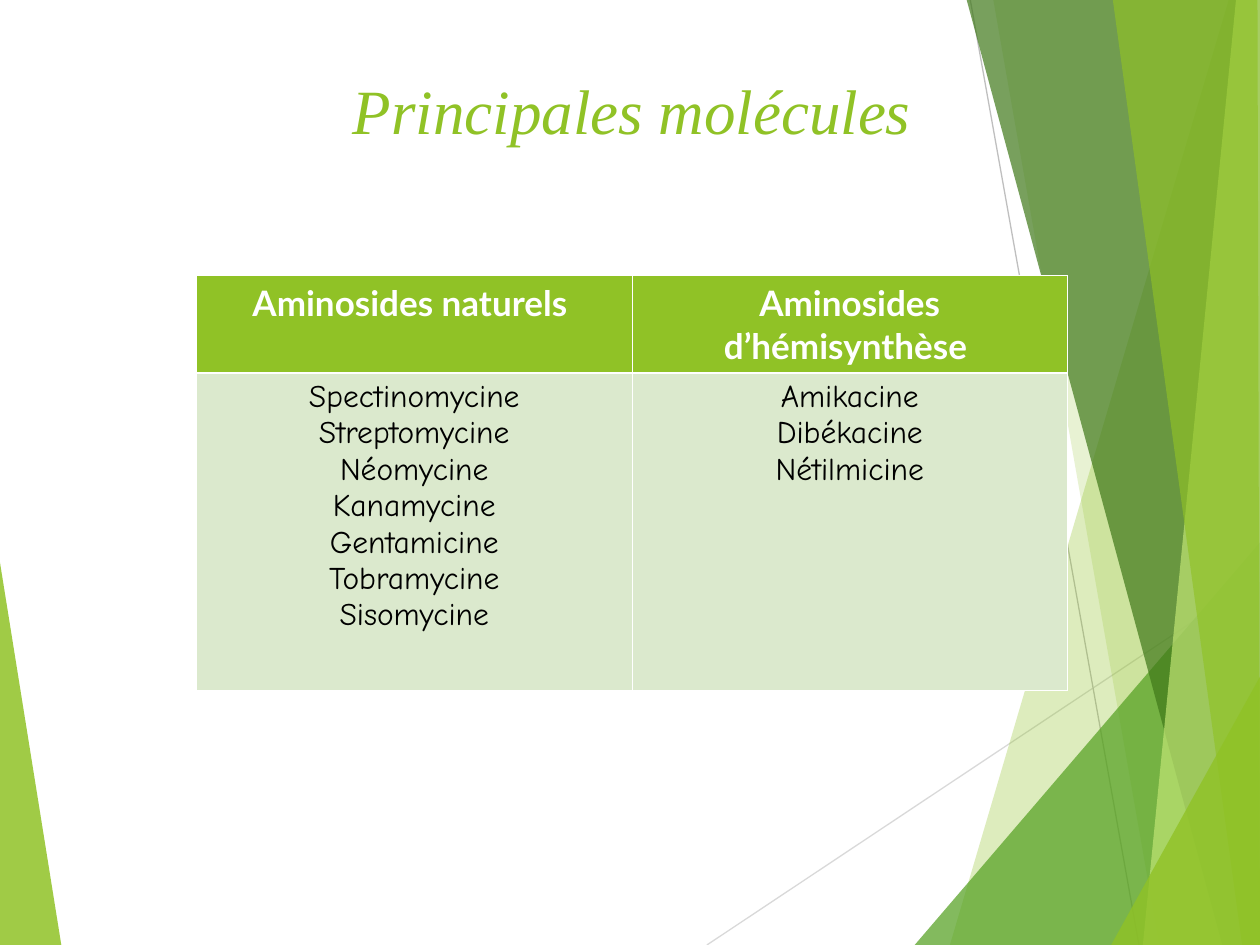
from typing import NamedTuple

from lxml.etree import SubElement
from pptx import Presentation
from pptx.dml.color import RGBColor
from pptx.enum.shapes import MSO_CONNECTOR
from pptx.enum.text import MSO_ANCHOR, PP_ALIGN
from pptx.oxml import parse_xml
from pptx.oxml.ns import nsdecls, qn
from pptx.util import Cm, Pt

LIME = RGBColor(0x90, 0xC2, 0x26)
GREEN = RGBColor(0x54, 0xA0, 0x21)
DARK = RGBColor(0x3F, 0x78, 0x19)
LIGHT = RGBColor(0xC0, 0xE4, 0x74)
PALE = RGBColor(0xDB, 0xE9, 0xCD)
GREY = RGBColor(0xBF, 0xBF, 0xBF)
SILVER = RGBColor(0xD9, 0xD9, 0xD9)
WHITE = RGBColor(0xFF, 0xFF, 0xFF)
BLACK = RGBColor(0, 0, 0)

WIDE, HIGH = 25.4, 19.05
EDGE, TOP = 25.43, -0.03


class Facet(NamedTuple):
    color: RGBColor
    alpha: int  # opacity in percent
    points: list[tuple[float, float]]


class Ray(NamedTuple):
    color: RGBColor
    start: tuple[float, float]
    end: tuple[float, float]


class Column(NamedTuple):
    head: str
    names: list[str]


TIP = Facet(LIME, 85, [(-0.03, 11.15), (1.24, 19.07), (-0.03, HIGH)])
RAYS = [
    Ray(SILVER, (14.25, HIGH), (EDGE, 11.61)),
    Ray(GREY, (19.56, 0), (22.96, HIGH)),
]
FACETS = [
    Facet(LIME, 30, [(24.77, 0), (19.15, HIGH), (EDGE, HIGH), (EDGE, 0)]),
    Facet(LIME, 20, [(20.02, TOP), (23.37, HIGH), (EDGE, HIGH), (EDGE, TOP)]),
    Facet(GREEN, 72, [(18.44, HIGH), (EDGE, 10.9), (EDGE, HIGH)]),
    Facet(DARK, 70, [(19.48, TOP), (24.64, HIGH), (EDGE, HIGH), (EDGE, TOP)]),
    Facet(LIGHT, 70, [(24.92, TOP), (23.04, HIGH), (EDGE, HIGH), (WIDE, TOP)]),
    Facet(LIME, 65, [(22.43, TOP), (25.04, HIGH), (WIDE, HIGH), (25.35, TOP)]),
    Facet(LIME, 80, [(22.4, HIGH), (EDGE, 13.59), (EDGE, HIGH)]),
]
COLUMNS = [
    Column("Aminosides naturels ", [
        "Spectinomycine", "Streptomycine", "Néomycine", "Kanamycine",
        "Gentamicine", "Tobramycine", "Sisomycine"]),
    Column("Aminosides d’hémisynthèse ", [
        "Amikacine", "Dibékacine", "Nétilmicine"]),
]


def draw_facet(shapes, facet: Facet) -> None:
    first, *rest = [(Cm(x), Cm(y)) for x, y in facet.points]
    pen = shapes.build_freeform(*first)
    pen.add_line_segments(rest, close=True)
    shape = pen.convert_to_shape()
    shape.shadow.inherit = False
    shape.line.fill.background()
    shape.fill.solid()
    shape.fill.fore_color.rgb = facet.color
    color = shape.element.spPr.find(qn("a:solidFill"))[0]
    SubElement(color, qn("a:alpha"), val=str(facet.alpha * 1000))


def draw_ray(shapes, ray: Ray) -> None:
    ends = [Cm(n) for n in (*ray.start, *ray.end)]
    line = shapes.add_connector(MSO_CONNECTOR.STRAIGHT, *ends)
    line.line.color.rgb = ray.color
    line.line.width = Pt(0.75)
    SubElement(line.element.spPr, qn("a:effectLst"))


def write(frame, lines: list[str], *, font: str, size: float, color: RGBColor,
          bold: bool = False, italic: bool = False) -> None:
    """Fill a text frame with one centred paragraph per line."""
    frame.word_wrap = True
    for i, text in enumerate(lines):
        para = frame.paragraphs[0] if i == 0 else frame.add_paragraph()
        para.alignment = PP_ALIGN.CENTER
        run = para.add_run()
        run.text = text
        run.font.name = font
        run.font.size = Pt(size)
        run.font.color.rgb = color
        run.font.bold = bold
        run.font.italic = italic


def style_cell(cell, fill: RGBColor, thick: str) -> None:
    """Set the fill and white borders; the side named by thick is heavier."""
    cell.fill.solid()
    cell.fill.fore_color.rgb = fill
    props = cell._tc.get_or_add_tcPr()
    for i, side in enumerate("LRTB"):
        width = Pt(1.47 if side == thick else 0.45)
        props.insert(i, parse_xml(
            f'<a:ln{side} {nsdecls("a")} w="{width}"><a:solidFill>'
            f'<a:srgbClr val="{WHITE}"/></a:solidFill></a:ln{side}>'))


def draw_table(shapes, columns: list[Column]) -> None:
    table = shapes.add_table(2, len(columns), Cm(3.96), Cm(5.56),
                             Cm(17.56), Cm(8.34)).table
    table.rows[0].height = Cm(1.95)
    table.rows[1].height = Cm(6.39)
    for i, col in enumerate(columns):
        head, body = table.cell(0, i), table.cell(1, i)
        style_cell(head, LIME, "B")
        style_cell(body, PALE, "T")
        write(head.text_frame, [col.head], font="Lato", size=20,
              color=WHITE, bold=True)
        write(body.text_frame, col.names, font="Comic Neue", size=18,
              color=BLACK)


def main() -> None:
    deck = Presentation()
    deck.slide_width, deck.slide_height = Cm(WIDE), Cm(HIGH)
    slide = deck.slides.add_slide(deck.slide_layouts[5])
    shapes = slide.shapes

    draw_facet(shapes, TIP)
    for ray in RAYS:
        draw_ray(shapes, ray)
    for facet in FACETS:
        draw_facet(shapes, facet)

    title = shapes.title
    shapes.element.append(title.element)  # bring in front of the facets
    title.left, title.top = Cm(1.4), Cm(1.2)
    title.width, title.height = Cm(23), Cm(2.54)
    frame = title.text_frame
    frame.vertical_anchor = MSO_ANCHOR.TOP
    frame.margin_top = Cm(0.25)
    write(frame, ["Principales molécules "], font="Times New Roman", size=36,
          color=LIME, italic=True)

    draw_table(shapes, COLUMNS)
    deck.save("out.pptx")


if __name__ == "__main__":
    main()
